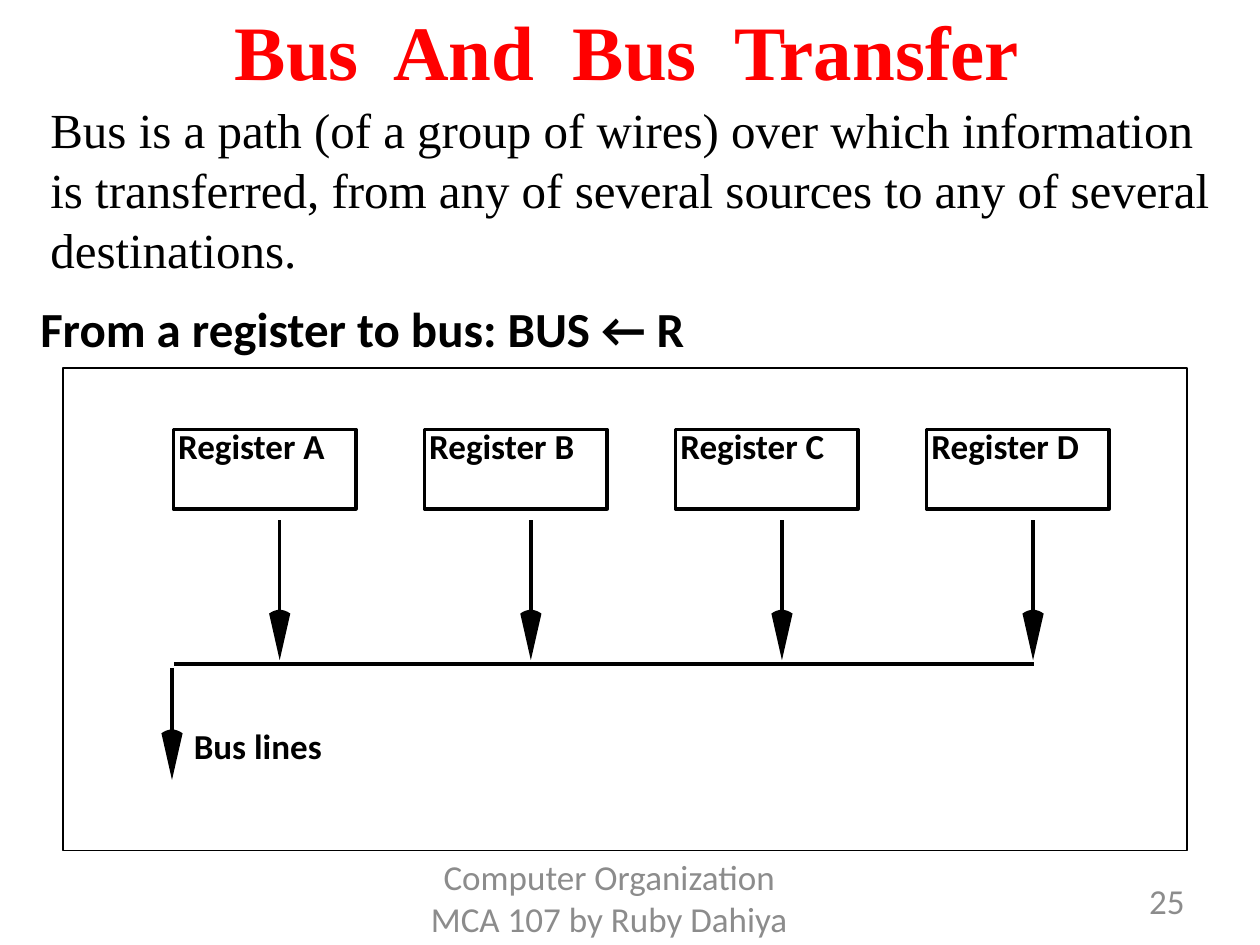
from pptx import Presentation
from pptx.dml.color import RGBColor
from pptx.enum.shapes import MSO_CONNECTOR, MSO_SHAPE
from pptx.enum.text import MSO_ANCHOR, PP_ALIGN
from pptx.oxml.ns import qn
from pptx.util import Inches, Pt
from lxml import etree

LEFT, MID, RIGHT = PP_ALIGN.LEFT, PP_ALIGN.CENTER, PP_ALIGN.RIGHT
TOP, HALF = MSO_ANCHOR.TOP, MSO_ANCHOR.MIDDLE
LINE, RECT = MSO_CONNECTOR.STRAIGHT, MSO_SHAPE.RECTANGLE
COLS, ROWS = 100, 75
BLACK, WHITE, RED, GRAY = "000000", "FFFFFF", "FF0000", "8C8C8C"
SERIF, SANS = "Times New Roman", "Calibri"
TIGHT, LOOSE = (0.07, 0.03), (0.1, 0.05)


def cell(n):
    """Turn grid cells into a slide length."""
    return Inches(n * 10 / COLS)


def color(code):
    """Turn a hex string into a colour."""
    return RGBColor.from_string(code)


def text(slide, box, words, font, pad=LOOSE, align=LEFT, anchor=TOP, space=None, wrap=True):
    """Place one paragraph of text in a box."""
    frame = slide.shapes.add_textbox(*map(cell, box)).text_frame
    look = {"margin_left": Inches(pad[0]), "margin_right": Inches(pad[0]),
            "margin_top": Inches(pad[1]), "margin_bottom": Inches(pad[1]),
            "word_wrap": wrap, "vertical_anchor": anchor}
    for key, val in look.items():
        setattr(frame, key, val)
    para = frame.paragraphs[0]
    para.alignment, para.line_spacing = align, space
    run = para.add_run()
    run.text = words
    name, size, ink, bold = font
    for key, val in {"name": name, "size": Pt(size), "bold": bold}.items():
        setattr(run.font, key, val)
    run.font.color.rgb = color(ink)


def rect(slide, box, width, fill=None):
    """Draw a black outlined rectangle."""
    shape = slide.shapes.add_shape(RECT, *map(cell, box))
    shape.shadow.inherit = False
    if fill:
        shape.fill.solid()
        shape.fill.fore_color.rgb = color(fill)
    else:
        shape.fill.background()
    shape.line.color.rgb = color(BLACK)
    shape.line.width = Pt(width)


def line(slide, x, y, right, low):
    """Draw a plain black line."""
    wire = slide.shapes.add_connector(LINE, *map(cell, (x, y, right, low)))
    wire.line.color.rgb = color(BLACK)
    wire.line.width = Pt(2)
    props = wire._element.find(qn("p:spPr"))
    etree.SubElement(props, qn("a:effectLst"))


def arrow(slide, x, top, tip):
    """Draw a downward line with a long, round-backed head."""
    neck = tip - 3.7
    line(slide, x, top, x, neck)
    steps = [k / 4 for k in range(-4, 5)]
    rim = [(cell(x + 0.84 * s), cell(neck - 0.3 * (1 - s * s))) for s in steps]
    pen = slide.shapes.build_freeform(*rim[0])
    pen.add_line_segments(rim[1:] + [(cell(x), cell(tip))], close=True)
    head = pen.convert_to_shape()
    head.shadow.inherit = False
    head.fill.solid()
    head.fill.fore_color.rgb = color(BLACK)
    head.line.fill.background()


def header(slide, box):
    """Place the title, definition and subtitle."""
    x, y, wide, _ = box
    text(slide, (x + 0.8, y, wide - 2, 8), "Bus  And  Bus  Transfer",
         (SERIF, 44, RED, True), TIGHT, MID)
    text(slide, (x + 0.8, y + 7.5, wide - 0.8, 15),
         "Bus is a path (of a group of wires) over which information is transferred, "
         "from any of several sources to any of several destinations.",
         (SERIF, 28, BLACK, False), TIGHT, space=1.02)
    text(slide, (x, y + 23.3, 56.7, 5.2), "From a register to bus: BUS ← R",
         (SANS, 28, BLACK, True), TIGHT, space=1.02)


def diagram(slide, box):
    """Draw the registers feeding the bus."""
    x, y, _, _ = box
    font, gap = (SANS, 20, BLACK, True), 19.93
    for k, name in enumerate("ABCD"):
        left = x + 8.75 + k * gap
        rect(slide, (left, y + 4.9, 14.5, 6.3), 2, WHITE)
        text(slide, (left - 0.6, y + 4.4, 13.7, 4.5), f"Register {name}", font,
             space=0.9, wrap=False)
        arrow(slide, left + 8.45, y + 12.1, y + 23.2)
    line(slide, x + 8.8, y + 23.5, x + 77.1, y + 23.5)
    arrow(slide, x + 8.65, y + 23.8, y + 32.7)
    text(slide, (x + 9.4, y + 28.2, 12.3, 4.5), "Bus lines", font, space=0.9, wrap=False)
    rect(slide, box, 0.75)


def footer(slide, box):
    """Place the course line and page number."""
    x, y, wide, high = box
    font = (SANS, 20, GRAY, False)
    text(slide, (x, y, 31.7, high), "Computer Organization MCA 107 by Ruby Dahiya",
         font, align=MID, anchor=HALF)
    text(slide, (x + wide - 23.3, y + 0.3, 23.3, high), "25", font,
         align=RIGHT, anchor=HALF)


def main():
    """Build and save the slide."""
    deck = Presentation()
    deck.slide_width, deck.slide_height = cell(COLS), cell(ROWS)
    slide = deck.slides.add_slide(deck.slide_layouts[6])
    footer(slide, (32.5, 69.2, 62.5, 4))
    header(slide, (2.5, 0, 95, 28.5))
    diagram(slide, (5, 29.2, 89.2, 38.3))
    deck.save("out.pptx")


if __name__ == "__main__":
    main()
